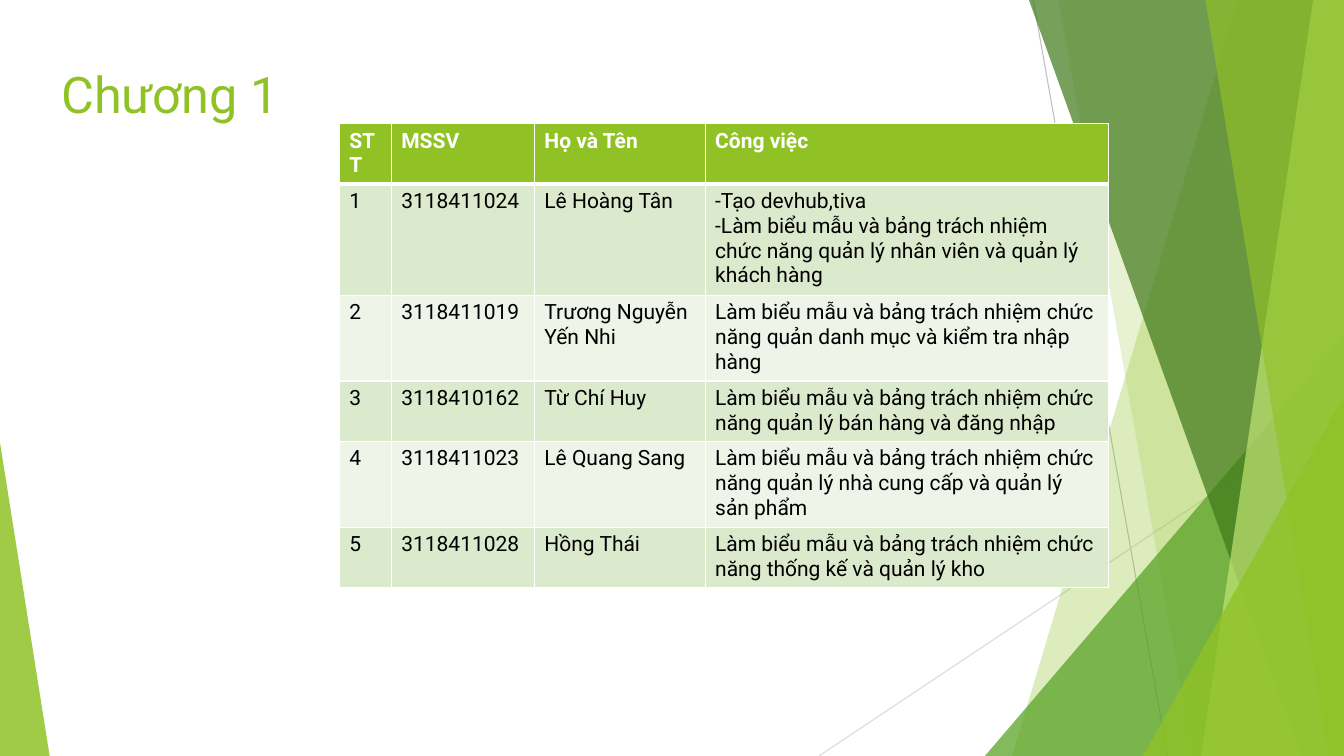
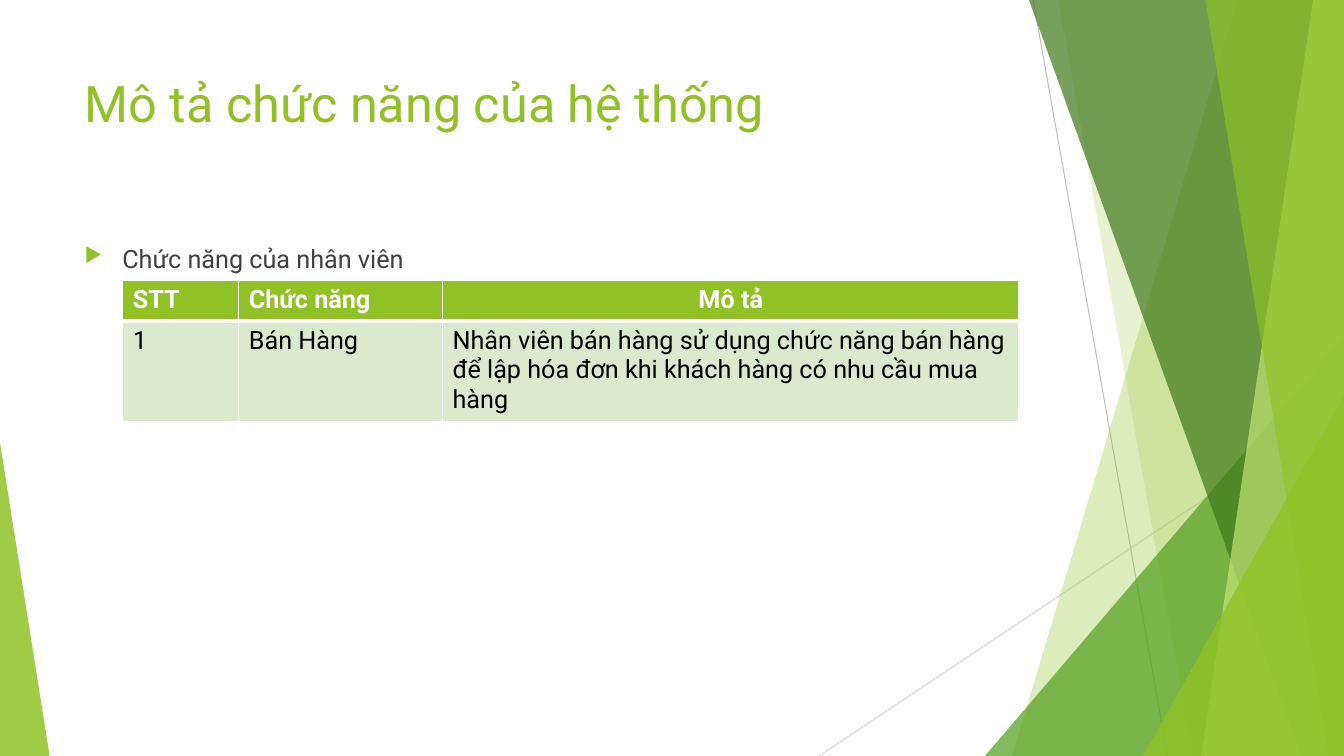
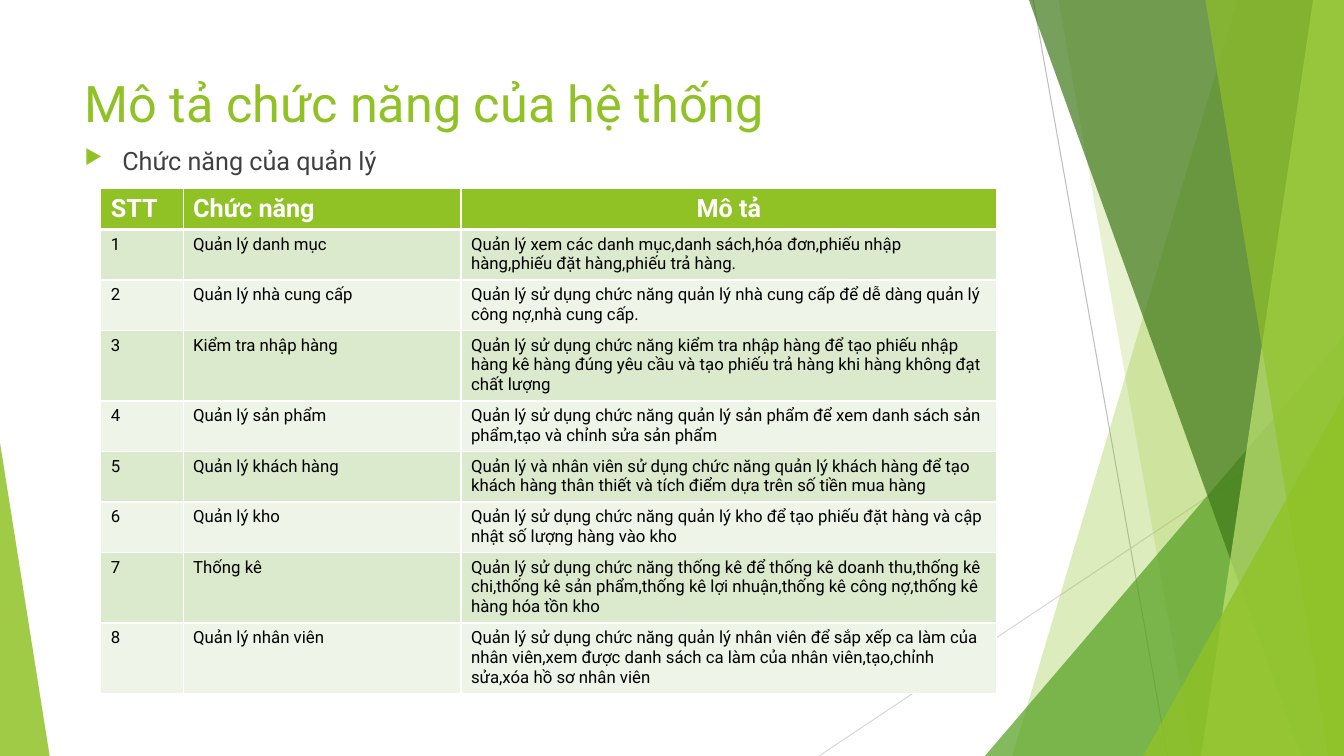
from lxml.etree import SubElement
from pptx import Presentation
from pptx.dml.color import RGBColor
from pptx.enum.shapes import MSO_CONNECTOR, MSO_SHAPE
from pptx.enum.text import MSO_ANCHOR, PP_ALIGN
from pptx.oxml.ns import qn
from pptx.util import Pt

WIDTH, HEIGHT = 960, 540
FONT = "Roboto"

WHITE = RGBColor(0xFF, 0xFF, 0xFF)
BLACK = RGBColor(0x00, 0x00, 0x00)
BODY = RGBColor(0x40, 0x40, 0x40)
SILVER = RGBColor(0xBF, 0xBF, 0xBF)
PALE_GREY = RGBColor(0xD9, 0xD9, 0xD9)
LIME = RGBColor(0x90, 0xC2, 0x26)
GREEN = RGBColor(0x54, 0xA0, 0x21)
FOREST = RGBColor(0x3F, 0x78, 0x19)
LIGHT_LIME = RGBColor(0xC0, 0xE4, 0x74)
BANDS = (RGBColor(0xDB, 0xE9, 0xCD), RGBColor(0xEE, 0xF4, 0xE8))

ROW_HEIGHT = 29.2
HANGING = 27
SYSTEM_TITLE = "Mô tả chức năng của hệ thống"
FUNCTION_HEADER = ("STT", "Chức năng", "Mô tả")

MEMBERS = [
    ("STT", "MSSV", "Họ và Tên", "Công việc"),
    ("1", "3118411024", "Lê Hoàng Tân",
     "-Tạo devhub,tiva\n-Làm biểu mẫu và bảng trách nhiệm chức năng "
     "quản lý nhân viên và quản lý khách hàng"),
    ("2", "3118411019", "Trương Nguyễn Yến Nhi",
     "Làm biểu mẫu và bảng trách nhiệm chức năng quản danh mục và kiểm tra nhập hàng"),
    ("3", "3118410162", "Từ Chí Huy",
     "Làm biểu mẫu và bảng trách nhiệm chức năng quản lý bán hàng và đăng nhập"),
    ("4", "3118411023", "Lê Quang Sang",
     "Làm biểu mẫu và bảng trách nhiệm chức năng quản lý nhà cung cấp và quản lý sản phẩm"),
    ("5", "3118411028", "Hồng Thái",
     "Làm biểu mẫu và bảng trách nhiệm chức năng thống kế và quản lý kho"),
]

STAFF_FUNCTIONS = [
    FUNCTION_HEADER,
    ("1", "Bán Hàng",
     "Nhân viên bán hàng sử dụng chức năng bán hàng để lập hóa đơn "
     "khi khách hàng có nhu cầu mua hàng"),
]

MANAGER_FUNCTIONS = [
    FUNCTION_HEADER,
    ("1", "Quản lý danh mục",
     "Quản lý xem các danh mục,danh sách,hóa đơn,phiếu nhập hàng,"
     "phiếu đặt hàng,phiếu trả hàng."),
    ("2", "Quản lý nhà cung cấp",
     "Quản lý sử dụng chức năng quản lý nhà cung cấp để dễ dàng quản lý "
     "công nợ,nhà cung cấp."),
    ("3", "Kiểm tra nhập hàng",
     "Quản lý sử dụng chức năng kiểm tra nhập hàng để tạo phiếu nhập hàng kê hàng "
     "đúng yêu cầu và tạo phiếu trả hàng khi hàng không đạt chất lượng"),
    ("4", "Quản lý sản phẩm",
     "Quản lý sử dụng chức năng quản lý sản phẩm để xem danh sách sản phẩm,"
     "tạo và chỉnh sửa sản phẩm"),
    ("5", "Quản lý khách hàng",
     "Quản lý và nhân viên sử dụng chức năng quản lý khách hàng để tạo khách hàng "
     "thân thiết và tích điểm dựa trên số tiền mua hàng"),
    ("6", "Quản lý kho",
     "Quản lý sử dụng chức năng quản lý kho để tạo phiếu đặt hàng và "
     "cập nhật số lượng hàng vào kho"),
    ("7", "Thống kê",
     "Quản lý sử dụng chức năng thống kê để thống kê doanh thu,thống kê chi,"
     "thống kê sản phẩm,thống kê lợi nhuận,thống kê công nợ,thống kê hàng hóa tồn kho"),
    ("8", "Quản lý nhân viên",
     "Quản lý sử dụng chức năng quản lý nhân viên để sắp xếp ca làm của nhân viên,"
     "xem được danh sách ca làm của nhân viên,tạo,chỉnh sửa,xóa hồ sơ nhân viên"),
]


def add_run(p, text, size, color, bold=False):
    r = p.add_run()
    r.text = text
    r.font.name = FONT
    r.font.size = Pt(size)
    r.font.bold = bold
    r.font.color.rgb = color


def paint(sp, color, opacity):
    sp.shadow.inherit = False
    sp.line.fill.background()
    sp.fill.solid()
    sp.fill.fore_color.rgb = color
    rgb = sp.fill._xPr.find(qn("a:solidFill")).find(qn("a:srgbClr"))
    SubElement(rgb, qn("a:alpha"), val=str(opacity * 1000))


def add_ray(s, x1, y1, x2, y2, color):
    ray = s.shapes.add_connector(
        MSO_CONNECTOR.STRAIGHT, Pt(x1), Pt(y1), Pt(x2), Pt(y2))
    ray.line.color.rgb = color
    ray.line.width = Pt(0.75)
    SubElement(ray._element.spPr, qn("a:effectLst"))


def add_facet(s, top_x, bottom_x, color, opacity):
    outline = s.shapes.build_freeform(Pt(top_x), 0)
    corners = ((WIDTH, 0), (WIDTH, HEIGHT), (bottom_x, HEIGHT))
    outline.add_line_segments([(Pt(x), Pt(y)) for x, y in corners])
    paint(outline.convert_to_shape(), color, opacity)


def add_wedge(s, left, top, width, apex, color, opacity):
    sp = s.shapes.add_shape(
        MSO_SHAPE.ISOSCELES_TRIANGLE, Pt(left), Pt(top), Pt(width), Pt(HEIGHT - top))
    sp.adjustments[0] = apex
    paint(sp, color, opacity)


def add_backdrop(s):
    add_ray(s, 738, 0, 834, HEIGHT, SILVER)
    add_ray(s, WIDTH, 290, 585, HEIGHT, PALE_GREY)
    add_facet(s, 884, 723, LIME, 30)
    add_facet(s, 756, 852, LIME, 20)
    add_wedge(s, 703.5, 240, 256.5, 1, GREEN, 72)
    add_facet(s, 735, 929.5, FOREST, 70)
    add_facet(s, 938, 858, LIGHT_LIME, 70)
    add_facet(s, 861, 949, LIME, 65)
    add_wedge(s, 816.5, 283, 143.5, 1, LIME, 80)
    add_wedge(s, 0, 316, 35.5, 0, LIME, 85)


def add_text_box(s, left, top, height, text, size, color):
    tf = s.shapes.add_textbox(Pt(left), Pt(top), Pt(677), Pt(height)).text_frame
    tf.word_wrap = True
    tf.vertical_anchor = MSO_ANCHOR.TOP
    p = tf.paragraphs[0]
    add_run(p, text, size, color)
    return p


def add_title(s, left, top, text):
    add_text_box(s, left, top, 104, text, 36, LIME)


def add_bullet(s, left, top, text):
    p = add_text_box(s, left, top, 305, text, 18, BODY)
    p.space_before = Pt(10)
    pPr = p._p.get_or_add_pPr()
    pPr.set("marL", str(Pt(HANGING)))
    pPr.set("indent", str(-Pt(HANGING)))
    SubElement(SubElement(pPr, qn("a:buClr")), qn("a:srgbClr"), val=str(LIME))
    SubElement(pPr, qn("a:buSzPct"), val="80000")
    SubElement(pPr, qn("a:buChar"), char="▶")


def set_borders(cell, top, bottom):
    tcPr = cell._tc.get_or_add_tcPr()
    for side, width in (("L", 1), ("R", 1), ("T", top), ("B", bottom)):
        ln = SubElement(tcPr, qn(f"a:ln{side}"), w=str(Pt(width)))
        SubElement(SubElement(ln, qn("a:solidFill")), qn("a:srgbClr"), val=str(WHITE))


def add_grid(s, left, top, widths, rows, head_size, body_size, centred=None):
    table = s.shapes.add_table(
        len(rows), len(widths), Pt(left), Pt(top),
        Pt(sum(widths)), Pt(ROW_HEIGHT * len(rows))).table
    for column, width in zip(table.columns, widths):
        column.width = Pt(width)
    for i, row in enumerate(rows):
        table.rows[i].height = Pt(ROW_HEIGHT)
        head = i == 0
        for j, text in enumerate(row):
            cell = table.cell(i, j)
            set_borders(cell, 3 if i == 1 else 1, 3 if head else 1)
            cell.fill.solid()
            cell.fill.fore_color.rgb = LIME if head else BANDS[(i - 1) % 2]
            tf = cell.text_frame
            for k, line in enumerate(text.split("\n")):
                p = tf.add_paragraph() if k else tf.paragraphs[0]
                if head and j == centred:
                    p.alignment = PP_ALIGN.CENTER
                add_run(p, line, head_size if head else body_size,
                        WHITE if head else BLACK, head)


def new_slide(prs):
    s = prs.slides.add_slide(prs.slide_layouts[6])
    add_backdrop(s)
    return s


def add_member_slide(prs):
    s = new_slide(prs)
    add_title(s, 36.7, 41.8, "Chương 1")
    add_grid(s, 242.3, 88.4, (37.2, 102.2, 122, 288), MEMBERS, 15, 15)


def add_function_slide(prs, bullet, bullet_top, left, top, widths, rows, body_size):
    s = new_slide(prs)
    add_title(s, 53.3, 48, SYSTEM_TITLE)
    add_bullet(s, 53.3, bullet_top, bullet)
    add_grid(s, left, top, widths, rows, 18, body_size, centred=2)


def main():
    prs = Presentation()
    prs.slide_width, prs.slide_height = Pt(WIDTH), Pt(HEIGHT)
    add_member_slide(prs)
    add_function_slide(prs, "Chức năng của nhân viên", 170, 87.8, 200,
                       (82.8, 145.5, 411.8), STAFF_FUNCTIONS, 18)
    add_function_slide(prs, "Chức năng của quản lý", 100, 72, 134.8,
                       (58.8, 198.5, 382.8), MANAGER_FUNCTIONS, 12)
    prs.save("out.pptx")


if __name__ == "__main__":
    main()
